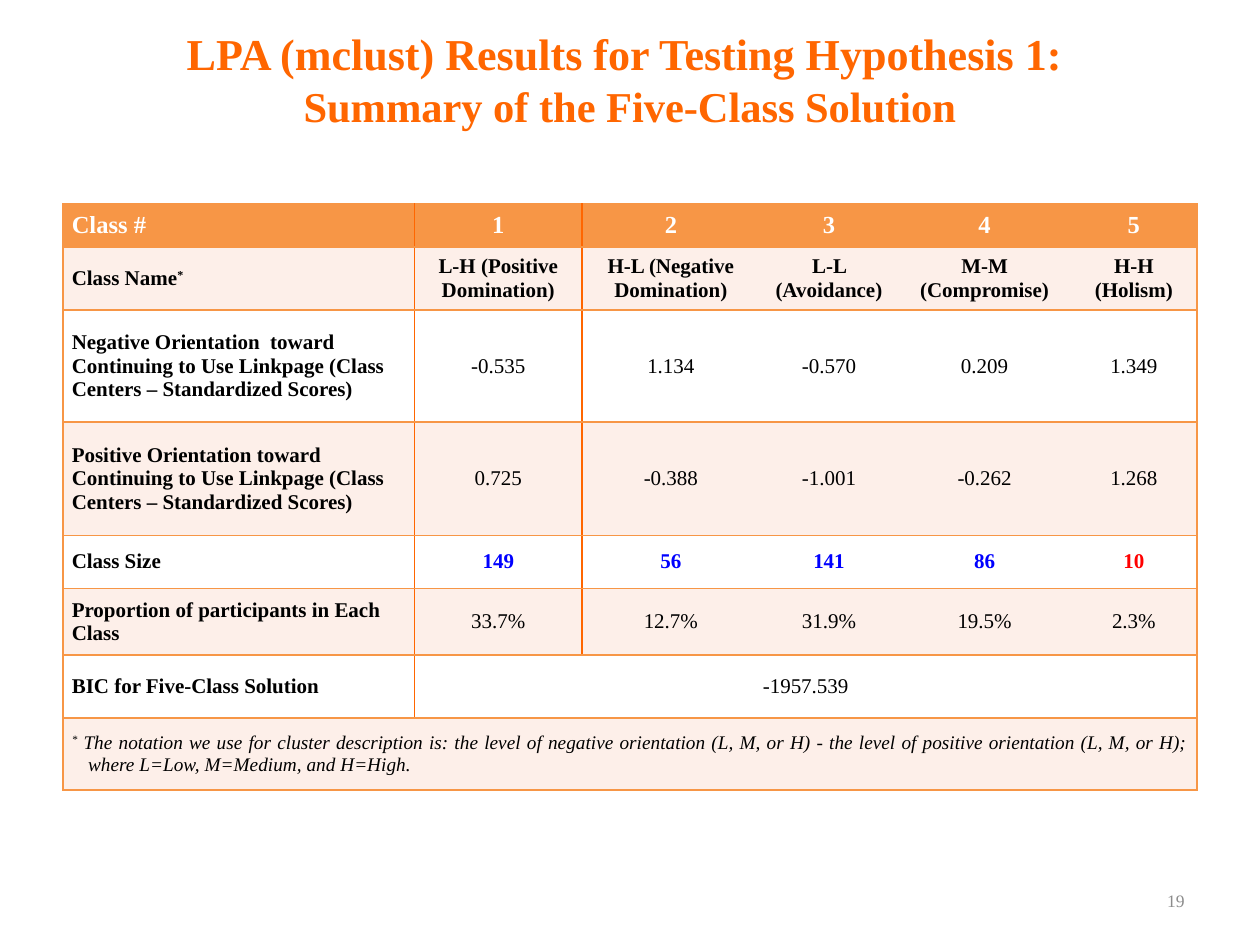
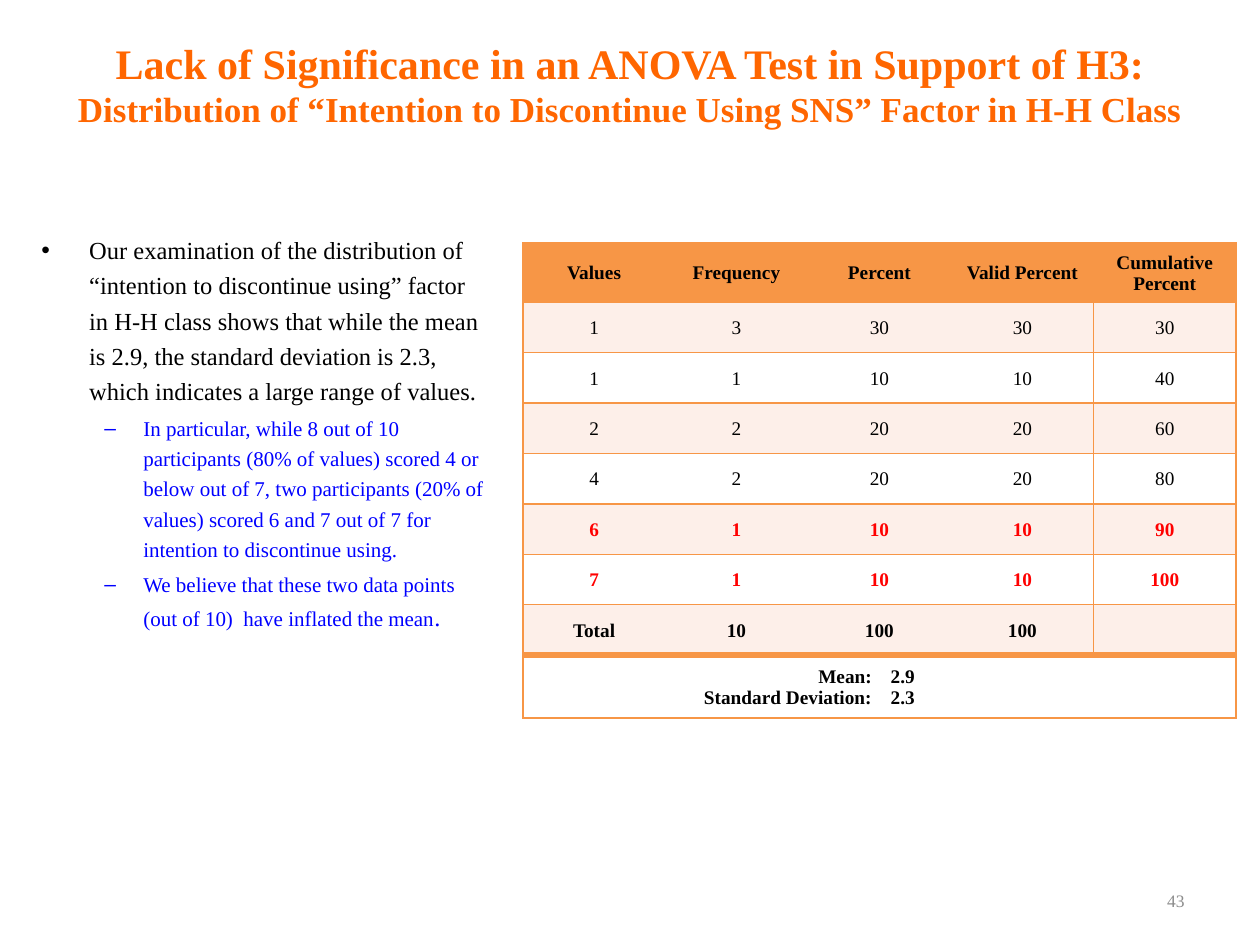
"""Build two slides of class analysis results: a class summary and a score distribution."""
from dataclasses import dataclass, replace
from typing import Optional

from lxml.etree import SubElement
from pptx import Presentation
from pptx.dml.color import RGBColor
from pptx.enum.text import MSO_ANCHOR as Anchor, PP_ALIGN as Align
from pptx.oxml import parse_xml
from pptx.oxml.ns import nsdecls, qn
from pptx.util import Inches, Pt

FONT = "Times New Roman"
TITLE_ORANGE = RGBColor(0xFF, 0x66, 0x00)
TABLE_ORANGE = RGBColor(0xF7, 0x96, 0x46)
TINT = RGBColor(0xFD, 0xEF, 0xE9)
WHITE = RGBColor(0xFF, 0xFF, 0xFF)
BLACK = RGBColor(0, 0, 0)
BLUE = RGBColor(0, 0, 0xFF)
RED = RGBColor(0xFF, 0, 0)
GREY = RGBColor(0x8C, 0x8C, 0x8C)
PLAIN_TABLE_STYLE = "{2D5ABB26-0587-4C30-8999-92F81FD0307C}"


@dataclass(frozen=True)
class Run:
    text: str
    size: float = 12
    color: RGBColor = BLACK
    bold: bool = False
    italic: bool = False
    superscript: bool = False


@dataclass(frozen=True)
class Line:
    runs: tuple[Run, ...]
    align: Align = Align.LEFT
    indent: float = 0
    hanging: float = 0
    bullet: str = ""
    level: int = 0
    line_spacing: Optional[float] = None
    before: float = 0
    after: float = 0


@dataclass(frozen=True)
class Cell:
    lines: tuple[Line, ...]
    span: int = 1
    right_margin: Optional[float] = None


@dataclass(frozen=True)
class Row:
    height: float
    cells: tuple[Cell, ...]
    dividers: dict[int, RGBColor]
    top_width: float = 1


@dataclass(frozen=True)
class Grid:
    left: float
    top: float
    columns: tuple[float, ...]
    rows: tuple[Row, ...]
    side_margin: float
    top_margin: float = 0


def add_text(paragraph, text: str, *, size: float, color: RGBColor, bold: bool = False,
             italic: bool = False, superscript: bool = False) -> None:
    run = paragraph.add_run()
    run.text = text
    font = run.font
    font.name, font.size, font.bold, font.italic = FONT, Pt(size), bold, italic
    font.color.rgb = color
    if superscript:
        run._r.get_or_add_rPr().set("baseline", "30000")


def fill_frame(frame, lines: tuple[Line, ...]) -> None:
    for index, line in enumerate(lines):
        paragraph = frame.add_paragraph() if index else frame.paragraphs[0]
        paragraph.alignment, paragraph.level = line.align, line.level
        paragraph.space_before, paragraph.space_after = Pt(line.before), Pt(line.after)
        if line.line_spacing:
            paragraph.line_spacing = line.line_spacing
        properties = paragraph._p.get_or_add_pPr()
        properties.set("marL", str(Inches(line.indent)))
        properties.set("indent", str(Inches(-line.hanging)))
        if line.bullet:
            SubElement(properties, qn("a:buFont")).set("typeface", "Arial")
            SubElement(properties, qn("a:buChar")).set("char", line.bullet)
        for run in line.runs:
            add_text(paragraph, run.text, size=run.size, color=run.color, bold=run.bold,
                     italic=run.italic, superscript=run.superscript)


def add_box(slide, left: float, top: float, width: float, height: float,
            lines: tuple[Line, ...], anchor: Anchor = Anchor.MIDDLE):
    frame = slide.shapes.add_textbox(
        Inches(left), Inches(top), Inches(width), Inches(height)).text_frame
    frame.word_wrap = True
    frame.vertical_anchor = anchor
    fill_frame(frame, lines)
    return frame


def add_title(slide, height: float, first: Run, second: Run) -> None:
    heading = Line((replace(first, color=TITLE_ORANGE, bold=True),), Align.CENTER)
    paragraph = add_box(slide, 0.5, 0.16, 9, height, (heading,)).paragraphs[0]
    paragraph.add_line_break()
    add_text(paragraph, second.text, size=second.size, color=TITLE_ORANGE, bold=True)


def add_page_number(slide, number: int) -> None:
    add_box(slide, 7.17, 6.95, 2.33, 0.4, (Line((Run(str(number), 10, GREY),), Align.RIGHT),))


def set_borders(cell, borders: dict[str, tuple[Optional[RGBColor], float]]) -> None:
    properties = cell._tc.get_or_add_tcPr()
    for position, (side, (color, width)) in enumerate(borders.items()):
        paint = (f'<a:solidFill><a:srgbClr val="{color}"/></a:solidFill>'
                 if color else "<a:noFill/>")
        properties.insert(position, parse_xml(
            f'<a:ln{side} {nsdecls("a")} w="{Pt(width)}">{paint}</a:ln{side}>'))


def add_grid(slide, grid: Grid) -> None:
    frame = slide.shapes.add_table(
        len(grid.rows), len(grid.columns), Inches(grid.left), Inches(grid.top),
        Inches(sum(grid.columns)), Inches(sum(row.height for row in grid.rows)))
    table = frame.table
    table._tbl.tblPr.find(qn("a:tableStyleId")).text = PLAIN_TABLE_STYLE
    for column, width in zip(table.columns, grid.columns):
        column.width = Inches(width)
    for index, row in enumerate(grid.rows):
        table.rows[index].height = Inches(row.height)
        following = grid.rows[index + 1:index + 2]
        bottom_width = following[0].top_width if following else 1
        start = 0
        for content in row.cells:
            end = start + content.span
            cell = table.cell(index, start)
            if content.span > 1:
                cell.merge(table.cell(index, end - 1))
            cell.vertical_anchor = Anchor.MIDDLE
            right = grid.side_margin if content.right_margin is None else content.right_margin
            cell.margin_left, cell.margin_right = Inches(grid.side_margin), Inches(right)
            cell.margin_top, cell.margin_bottom = Inches(grid.top_margin), 0
            fill_frame(cell.text_frame, content.lines)
            for column in range(start, end):
                part = table.cell(index, column)
                part.fill.solid()
                part.fill.fore_color.rgb = (TINT if index % 2 else WHITE) if index else TABLE_ORANGE
                part_end = end if column == start else column + 1
                set_borders(part, {
                    "L": (row.dividers.get(column), 1), "R": (row.dividers.get(part_end), 1),
                    "T": (TABLE_ORANGE, row.top_width), "B": (TABLE_ORANGE, bottom_width)})
            start = end


def text_cell(*runs: Run, align: Align = Align.CENTER, span: int = 1) -> Cell:
    return Cell((Line(runs, align),), span)


def class_row(height: float, label: str, values: str, style: Run = Run(""),
              label_style: Run = Run("", bold=True), mark: str = "", last: Optional[Run] = None) -> Row:
    texts = values.split("|")
    label_runs = [replace(label_style, text=label)]
    if mark:
        label_runs.append(replace(label_style, text=mark, superscript=True))
    styles = [style] * (len(texts) - 1) + [last or style]
    cells = [text_cell(replace(each, text=text), span=5 if len(texts) == 1 else 1)
             for text, each in zip(texts, styles)]
    dividers = {0: TABLE_ORANGE, 1: TITLE_ORANGE, 6: TABLE_ORANGE}
    if len(texts) > 1:
        dividers[2] = TITLE_ORANGE
    return Row(height, (text_cell(*label_runs, align=Align.LEFT), *cells), dividers)


def score_row(values: str, style: Run, height: float = 0.4, divided: bool = True) -> Row:
    cells = tuple(text_cell(replace(style, text=text), span=2 if column == 2 else 1)
                  for column, text in enumerate(values.split("|")))
    edges = (0, 5, 6) if divided else (0, 6)
    return Row(height, cells, {edge: TABLE_ORANGE for edge in edges})


def build_class_summary(slide) -> None:
    add_title(slide, 0.93, Run("LPA (mclust) Results for Testing Hypothesis 1: ", 25.2),
              Run("Summary of the Five-Class Solution", 24.3))
    bold = Run("", bold=True)
    header = Run("", 14, WHITE, True)
    orientation = "Continuing to Use Linkpage (Class Centers – Standardized Scores)"
    note = Line((
        Run("*", 11, italic=True, superscript=True),
        Run(" The notation we use for cluster description is: the level of negative orientation "
            "(L, M, or H) - the level of positive orientation (L, M, or H); where L=Low, "
            "M=Medium, and H=High.", 11, italic=True)), Align.JUSTIFY, 0.13, 0.13, after=6)
    rows = (
        class_row(0.34, "Class #", "1|2|3|4|5", header, header),
        class_row(0.5, "Class Name", "L-H (Positive Domination)|H-L (Negative Domination)|"
                  "L-L (Avoidance)|M-M (Compromise)|H-H (Holism)", bold, mark="*"),
        class_row(0.89, f"Negative Orientation  toward {orientation}",
                  "-0.535|1.134|-0.570|0.209|1.349"),
        class_row(0.9, f"Positive Orientation toward {orientation}",
                  "0.725|-0.388|-1.001|-0.262|1.268"),
        class_row(0.42, "Class Size", "149|56|141|86|10", replace(bold, color=BLUE),
                  last=replace(bold, color=RED)),
        class_row(0.53, "Proportion of participants in Each Class",
                  "33.7%|12.7%|31.9%|19.5%|2.3%"),
        class_row(0.5, "BIC for Five-Class Solution", "-1957.539"),
        Row(0.57, (Cell((note,), 6),), {0: TABLE_ORANGE, 6: TABLE_ORANGE}),
    )
    add_grid(slide, Grid(0.5, 1.62, (2.79, 1.33, 1.41, 1.1, 1.37, 1), rows, 0.07))
    add_page_number(slide, 19)


def build_score_distribution(slide) -> None:
    add_title(slide, 1.01, Run("Lack of Significance in an ANOVA Test in Support of H3:", 24),
              Run("Distribution of “Intention to Discontinue Using SNS” Factor in H-H Class", 20))
    plain = Run("", 11)
    bold = replace(plain, bold=True)
    red = replace(bold, color=RED)
    names = tuple(Line((replace(bold, text=text),), Align.RIGHT)
                  for text in ("Mean:", "Standard Deviation:"))
    results = tuple(Line((replace(bold, text=text),), indent=0.08) for text in ("2.9", "2.3"))
    rows = (
        score_row("Values|Frequency|Percent|Valid Percent|Cumulative Percent", bold, 0.47, False),
        *(score_row(values, plain) for values in
          ("1|3|30|30|30", "1|1|10|10|40", "2|2|20|20|60", "4|2|20|20|80")),
        *(score_row(values, red) for values in ("6|1|10|10|90", "7|1|10|10|100")),
        score_row("Total|10|100|100|", bold),
        Row(0.5, (Cell(names, 3, 0.06), Cell(results, 3)),
            {0: TABLE_ORANGE, 6: TABLE_ORANGE}, top_width=4),
    )
    add_grid(slide, Grid(4.15, 1.93, (1.13, 1.13, 0.57, 0.57, 1.13, 1.13), rows, 0.01, 0.01))
    add_page_number(slide, 43)
    main = Line((Run(
        "Our examination of the distribution of “intention to discontinue using” factor in H-H "
        "class shows that while the mean is 2.9, the standard deviation is 2.3, which indicates "
        "a large range of values.", 14),), indent=0.38, hanging=0.38, bullet="•",
        line_spacing=1.2, before=2.8)
    detail = replace(main, indent=0.81, hanging=0.31, bullet="–", level=1, runs=(Run(
        "In particular, while 8 out of 10 participants (80% of values) scored 4 or below out of "
        "7, two participants (20% of values) scored 6 and 7 out of 7 for intention to "
        "discontinue using.", color=BLUE),))
    belief = replace(detail, runs=(
        Run("We believe that these two data points (out of 10)  have inflated the mean", color=BLUE),
        Run(".", 14, BLUE)))
    add_box(slide, 0.23, 1.77, 3.76, 4.4, (main, detail, belief), Anchor.TOP)


def main() -> None:
    presentation = Presentation()
    presentation.slide_width, presentation.slide_height = Inches(10), Inches(7.5)
    for build in (build_class_summary, build_score_distribution):
        build(presentation.slides.add_slide(presentation.slide_layouts[6]))
    presentation.save("out.pptx")


main()
